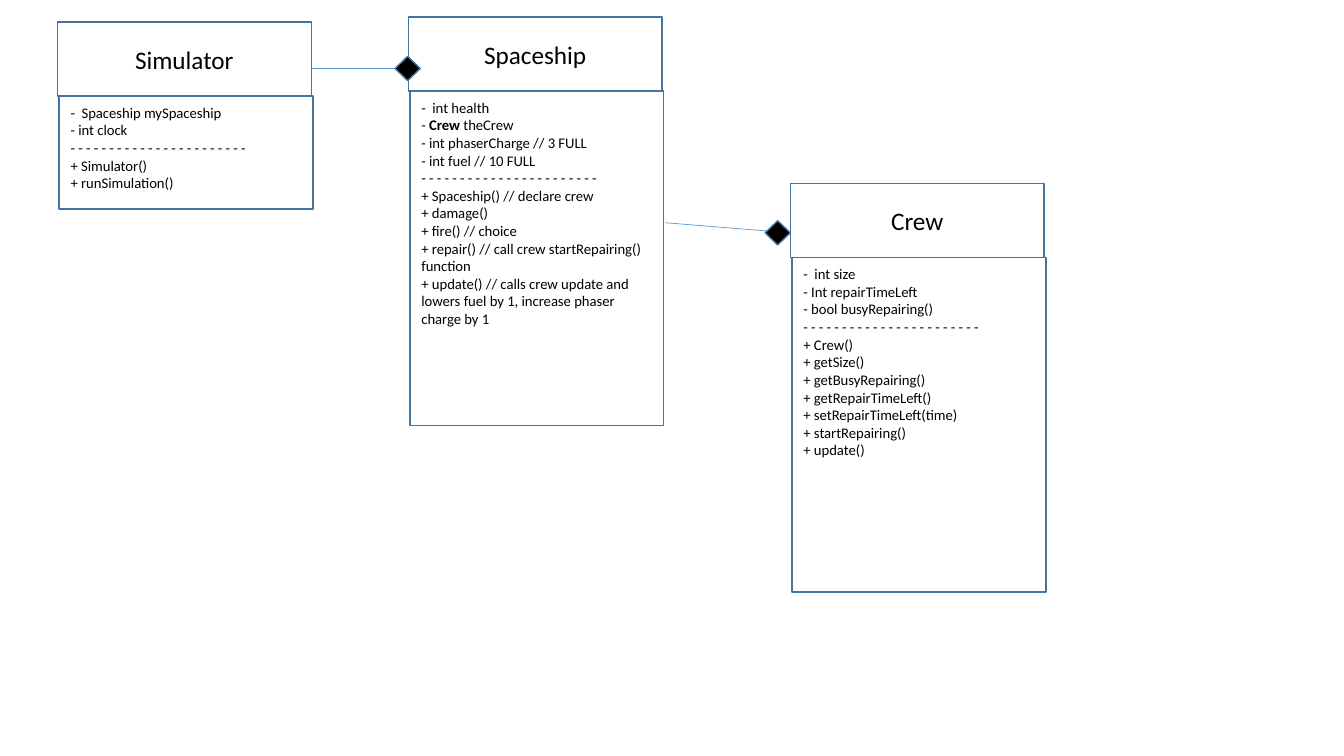
"""Build a UML class diagram of a spaceship simulator."""
from dataclasses import dataclass

from lxml import etree
from pptx import Presentation
from pptx import util as u
from pptx.dml.color import RGBColor
from pptx.enum import shapes, text
from pptx.oxml.ns import qn


@dataclass(frozen=True)
class Theme:
    """Colours, type sizes and line widths of the diagram."""
    font: str = "Calibri"
    ink: RGBColor = RGBColor(0x00, 0x00, 0x00)
    border: RGBColor = RGBColor(0x43, 0x73, 0x9E)
    link: RGBColor = RGBColor(0x5B, 0x9B, 0xD5)
    name_size: float = 18
    member_size: float = 10.5
    border_width: float = 1
    link_width: float = 0.5


THEME = Theme()
CLASS_W, NAME_H = 181.4, 52.8
DIAMOND_W, DIAMOND_H = 18, 17.3
LINE_H, INSETS = 12.7, 7.2
DIVIDER = " ".join("-" * 23)

CLASSES = [
    dict(name="Spaceship", x=291.6, y=12.2, body_h=239, lines=14,
         fields=["-  int health", ("- ", "Crew ", "theCrew"),
                 "- int phaserCharge // 3 FULL", "- int fuel // 10 FULL"],
         methods=["+ Spaceship() // declare crew", "+ damage()", "+ fire() // choice",
                  "+ repair() // call crew startRepairing() function",
                  "+ update() // calls crew update and lowers fuel by 1, "
                  "increase phaser charge by 1"]),
    dict(name="Crew", x=564.5, y=131.2, body_h=239, lines=11,
         fields=["-  int size", "- Int repairTimeLeft", "- bool busyRepairing()"],
         methods=["+ Crew()", "+ getSize()", "+ getBusyRepairing()",
                  "+ getRepairTimeLeft()", "+ setRepairTimeLeft(time)",
                  "+ startRepairing()", "+ update()"]),
    dict(name="Simulator", x=41, y=15.8, body_h=80.6, lines=5,
         fields=["-  Spaceship mySpaceship", "- int clock"],
         methods=["+ Simulator()", "+ runSimulation()"]),
]
LINKS = [
    dict(x=546.5, y=157.7, start=(475.2, 159.1)),
    dict(x=282.2, y=40.3, start=(222.5, 49)),
]


def add_run(p, words, size, bold=False):
    """Add one styled run to a paragraph."""
    r = p.add_run()
    r.text = words
    r.font.name, r.font.size, r.font.bold = THEME.font, u.Pt(size), bold
    r.font.color.rgb = THEME.ink


def add_outlined(s, kind, x, y, w, h, fill=None):
    """Add a bordered preset shape, hollow unless a fill is given."""
    sp = s.shapes.add_shape(kind, *map(u.Pt, (x, y, w, h)))
    sp.shadow.inherit = False
    if fill is None:
        sp.fill.background()
    else:
        sp.fill.solid()
        sp.fill.fore_color.rgb = fill
    sp.line.color.rgb = THEME.border
    sp.line.width = u.Pt(THEME.border_width)
    return sp


def add_members(s, x, y, h, members):
    """Add the list of members, with the middle run of a split member in bold."""
    sp = s.shapes.add_textbox(*map(u.Pt, (x, y, CLASS_W, h)))
    tf = sp.text_frame
    tf.word_wrap = True
    tf.auto_size = text.MSO_AUTO_SIZE.SHAPE_TO_FIT_TEXT
    for i, member in enumerate(members):
        p = tf.add_paragraph() if i else tf.paragraphs[0]
        parts = (member,) if isinstance(member, str) else member
        for j, part in enumerate(parts):
            add_run(p, part, THEME.member_size, bold=j == 1)


def add_class(s, name, x, y, body_h, lines, fields, methods):
    """Add a class: its body, its members and its name box."""
    rect = shapes.MSO_SHAPE.RECTANGLE
    add_outlined(s, rect, x + 1.2, y + NAME_H, CLASS_W, body_h)
    add_members(s, x + 2.3, y + NAME_H + 1.8, INSETS + LINE_H * lines,
                [*fields, DIVIDER, *methods])
    tf = add_outlined(s, rect, x, y, CLASS_W, NAME_H).text_frame
    tf.word_wrap = True
    tf.vertical_anchor = text.MSO_ANCHOR.MIDDLE
    p = tf.paragraphs[0]
    p.alignment = text.PP_ALIGN.CENTER
    add_run(p, name, THEME.name_size)


def add_composition(s, x, y, start):
    """Add a link that ends at the right tip of a filled diamond."""
    tip = (x + DIAMOND_W, y + DIAMOND_H / 2)
    cx = s.shapes.add_connector(shapes.MSO_CONNECTOR.STRAIGHT, *map(u.Pt, (*tip, *start)))
    cx.line.color.rgb = THEME.link
    cx.line.width = u.Pt(THEME.link_width)
    etree.SubElement(cx._element.spPr, qn("a:effectLst"))
    add_outlined(s, shapes.MSO_SHAPE.DIAMOND, x, y, DIAMOND_W, DIAMOND_H, THEME.ink)


def main():
    """Build and save the presentation."""
    prs = Presentation()
    prs.slide_width, prs.slide_height = u.Pt(960), u.Pt(540)
    s = prs.slides.add_slide(prs.slide_layouts.get_by_name("Blank"))
    for item in CLASSES:
        add_class(s, **item)
    for link in LINKS:
        add_composition(s, **link)
    prs.save("out.pptx")


main()
